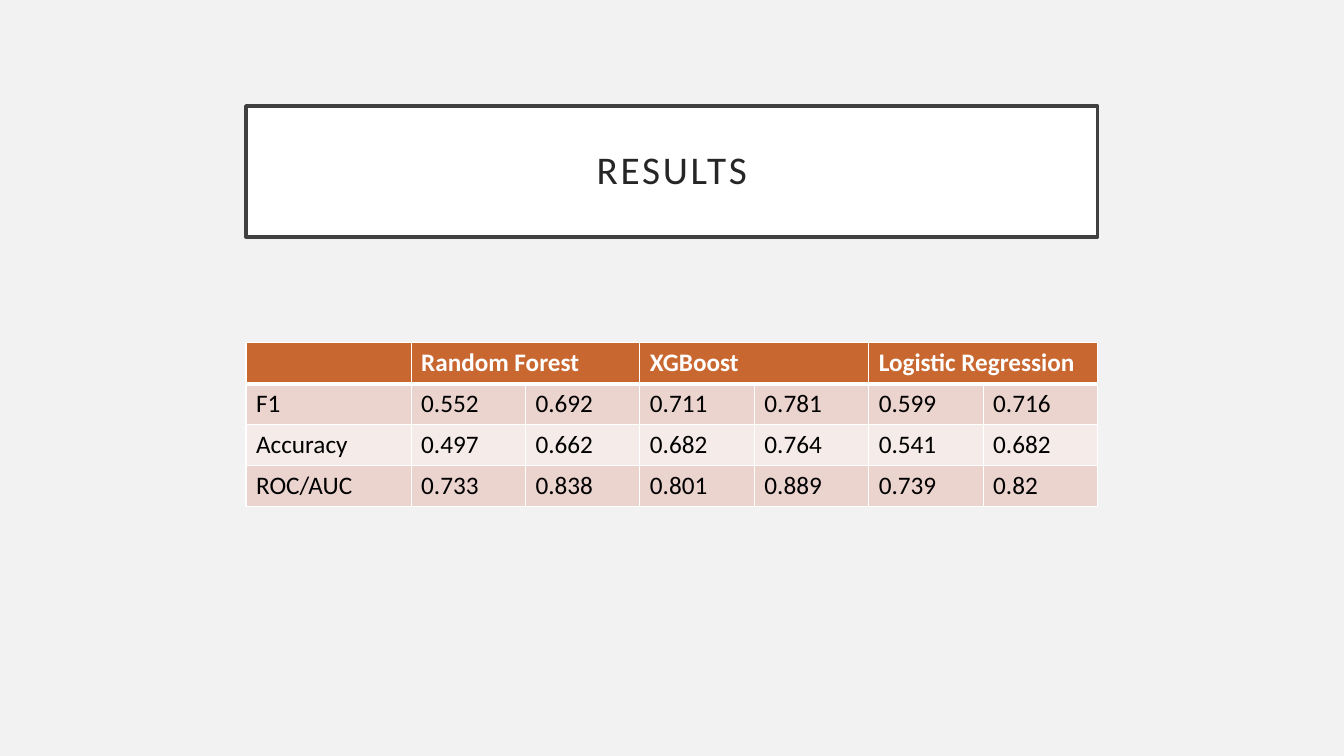
from lxml.etree import SubElement
from pptx import Presentation
from pptx.dml.color import RGBColor
from pptx.enum.text import MSO_ANCHOR, MSO_AUTO_SIZE, PP_ALIGN
from pptx.oxml.ns import qn
from pptx.util import Cm, Pt

COLORS = {
    "background": "F2F2F2",
    "white": "FFFFFF",
    "frame": "404040",
    "title": "262626",
    "header": "C96731",
    "odd": "EBD3CE",
    "even": "F5EBE8",
    "body": "000000",
}
MODELS = ["Random Forest", "XGBoost", "Logistic Regression"]
METRICS = [
    ("F1", "0.552", "0.692", "0.711", "0.781", "0.599", "0.716"),
    ("Accuracy", "0.497", "0.662", "0.682", "0.764", "0.541", "0.682"),
    ("ROC/AUC", "0.733", "0.838", "0.801", "0.889", "0.739", "0.82"),
]


def color(name):
    return RGBColor.from_string(COLORS[name])


def paint(fill, name):
    fill.solid()
    fill.fore_color.rgb = color(name)


def write(frame, text, size=18, ink="body", bold=False, align=PP_ALIGN.LEFT,
          line_spacing=1.0, tracking=0):
    paragraph = frame.paragraphs[0]
    paragraph.alignment = align
    paragraph.line_spacing = line_spacing
    run = paragraph.add_run()
    run.text = text
    run.font.name = "Calibri"
    run.font.size = Pt(size)
    run.font.bold = bold
    run.font.color.rgb = color(ink)
    if tracking:
        run.font._element.set("spc", str(tracking * 100))


def add_borders(cell, bottom=1):
    properties = cell._tc.get_or_add_tcPr()
    for side, width in (("L", 1), ("R", 1), ("T", 1), ("B", bottom)):
        border = SubElement(properties, qn(f"a:ln{side}"), w=str(Pt(width)))
        fill = SubElement(border, qn("a:solidFill"))
        SubElement(fill, qn("a:srgbClr"), val=COLORS["white"])


def place_title(slide, left, top, width, height):
    title = slide.shapes.title
    title.left, title.top, title.width, title.height = left, top, width, height
    paint(title.fill, "white")
    title.line.color.rgb = color("frame")
    title.line.width = Pt(2.5)
    frame = title.text_frame
    frame.word_wrap = True
    frame.auto_size = MSO_AUTO_SIZE.NONE
    frame.vertical_anchor = MSO_ANCHOR.MIDDLE
    frame.margin_left = frame.margin_right = Cm(0.5)
    frame.margin_top = frame.margin_bottom = Cm(0.5)
    write(frame, "RESULTS", size=28, ink="title", align=PP_ALIGN.CENTER,
          line_spacing=0.9, tracking=2)


def place_scores(slide, left, top, width, height):
    row_count, column_count = len(METRICS) + 1, len(METRICS[0])
    scores = slide.shapes.add_table(
        row_count, column_count, left, top, width, height).table
    metric_width = Cm(4.16)
    score_width = (width - metric_width) // (column_count - 1)
    for index, column in enumerate(scores.columns):
        column.width = score_width if index else metric_width
    for row in scores.rows:
        row.height = height // row_count

    for index in range(column_count):
        cell = scores.cell(0, index)
        add_borders(cell, bottom=3)
        paint(cell.fill, "header")
    for index, model in enumerate(MODELS):
        first = 1 + 2 * index
        cell = scores.cell(0, first)
        cell.merge(scores.cell(0, first + 1))
        write(cell.text_frame, model, ink="white", bold=True)

    for row_index, metric in enumerate(METRICS, 1):
        for column_index, entry in enumerate(metric):
            cell = scores.cell(row_index, column_index)
            add_borders(cell)
            paint(cell.fill, "odd" if row_index % 2 else "even")
            write(cell.text_frame, entry)


def main():
    presentation = Presentation()
    presentation.slide_width = Cm(33.87)
    presentation.slide_height = Cm(19.05)
    slide = presentation.slides.add_slide(presentation.slide_layouts[5])
    paint(slide.background.fill, "background")
    left, width = Cm(6.2), Cm(21.46)
    place_title(slide, left, Cm(2.67), width, Cm(3.3))
    place_scores(slide, left, Cm(8.64), width, Cm(4.12))
    presentation.save("out.pptx")


if __name__ == "__main__":
    main()
